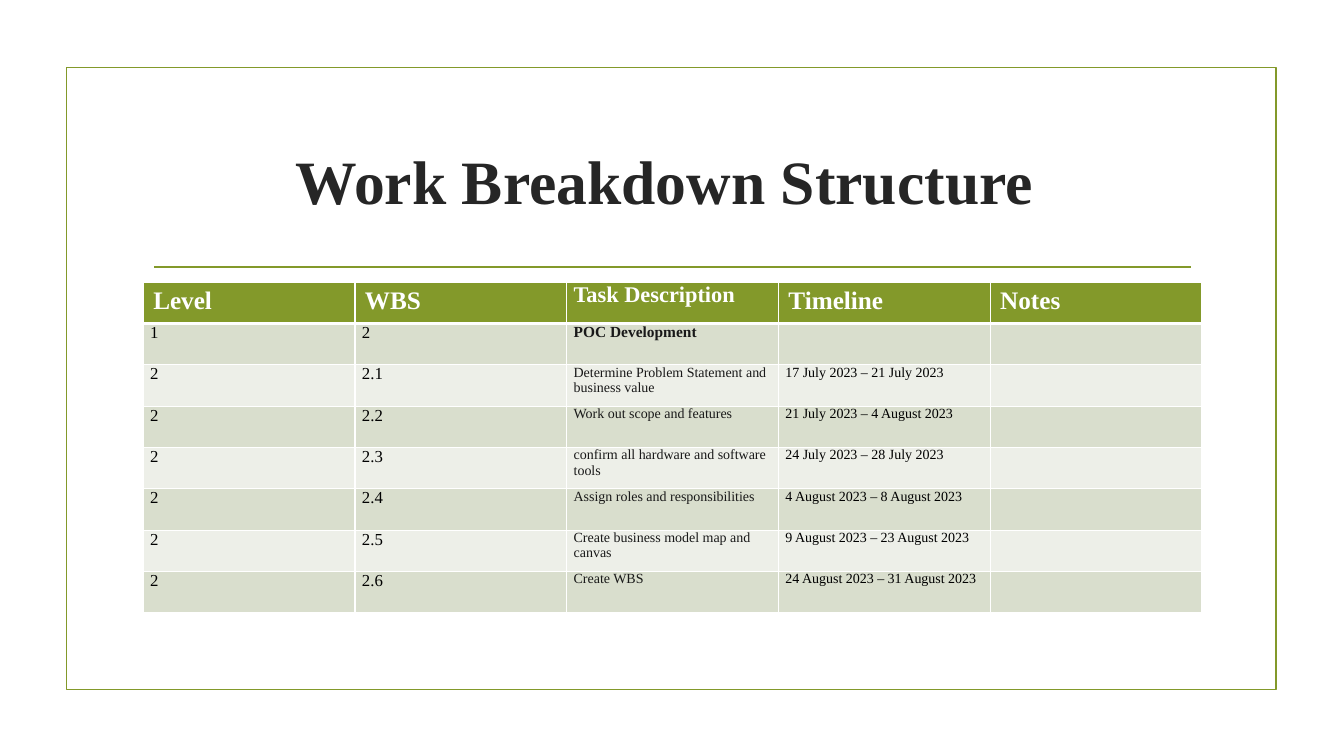
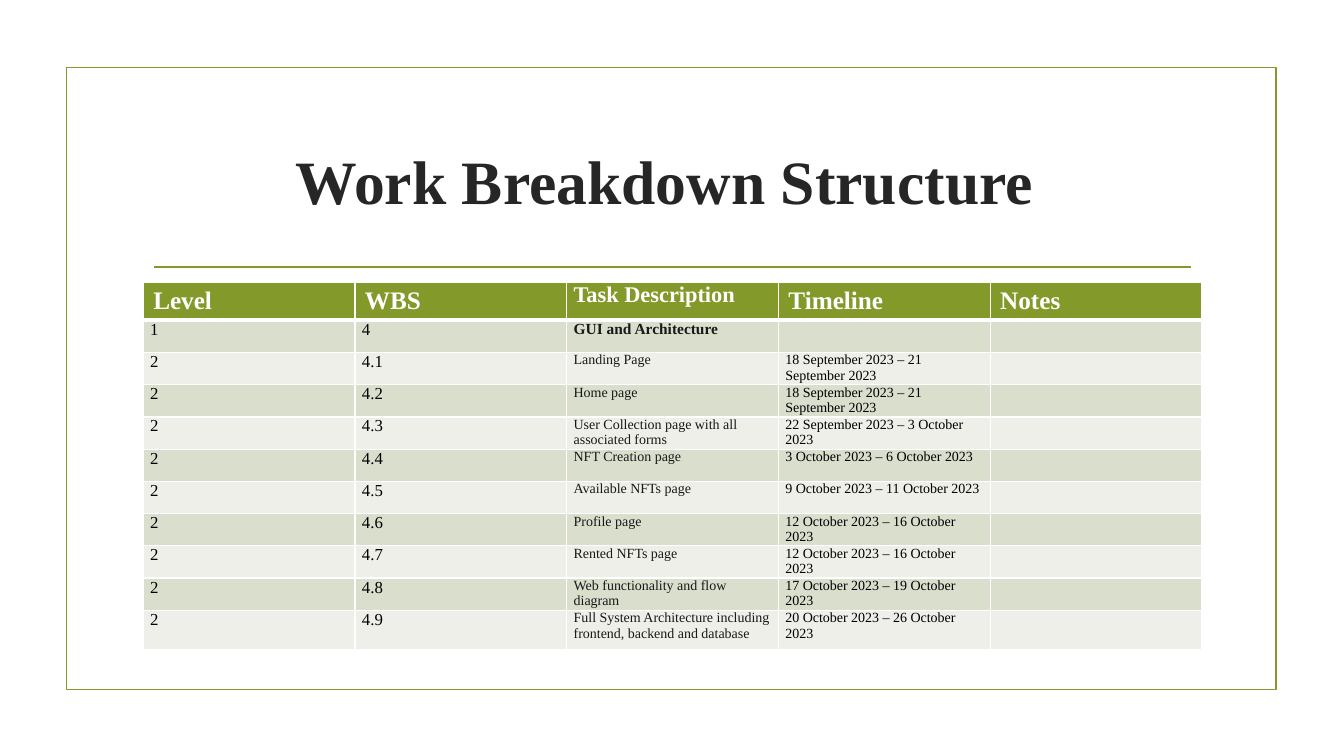
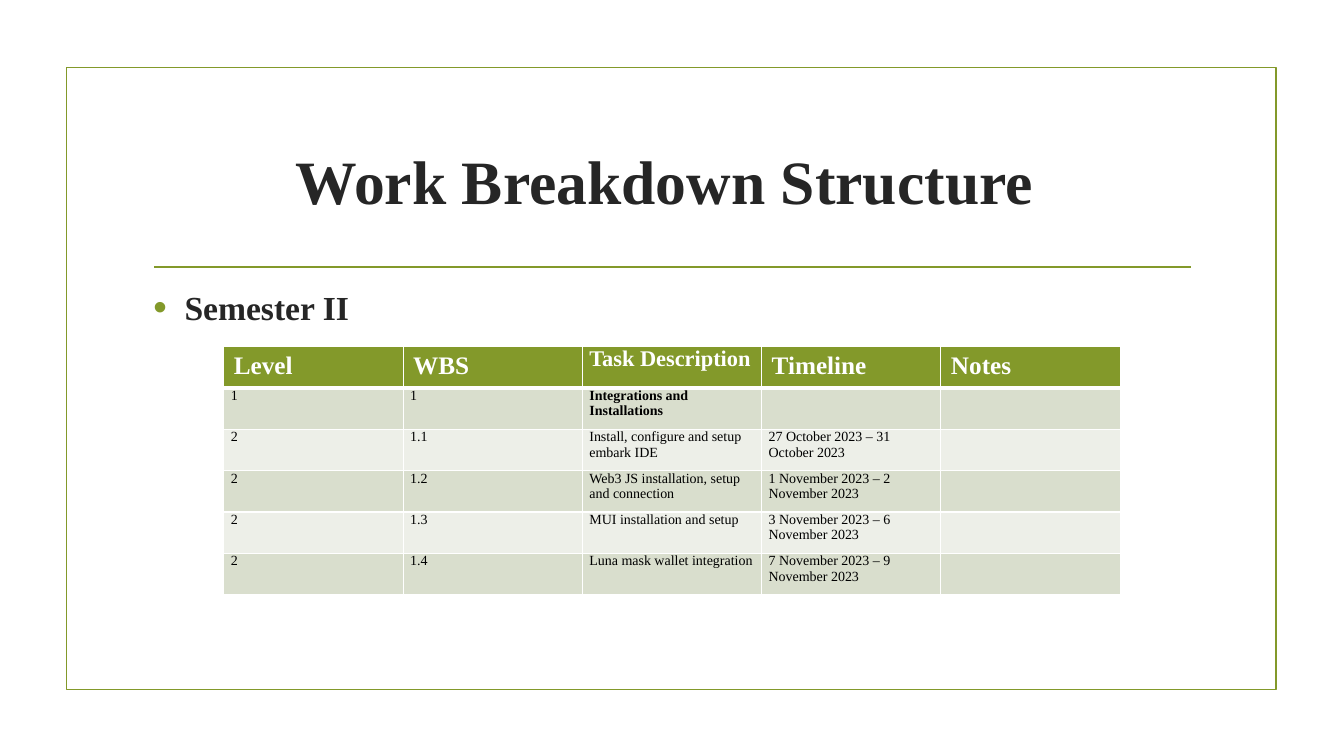
from lxml import etree
from pptx import Presentation
from pptx.dml.color import RGBColor
from pptx.enum.shapes import MSO_CONNECTOR, MSO_SHAPE
from pptx.enum.text import MSO_ANCHOR, PP_ALIGN
from pptx.oxml.ns import qn
from pptx.util import Inches, Pt

RECTANGLE = MSO_SHAPE.RECTANGLE
STRAIGHT = MSO_CONNECTOR.STRAIGHT
MIDDLE = MSO_ANCHOR.MIDDLE
TOP = MSO_ANCHOR.TOP
CENTER = PP_ALIGN.CENTER

FONT = "Times New Roman"
COLORS = {
    "accent": "83992A",
    "heading": "262626",
    "task": "191919",
    "black": "000000",
    "white": "FFFFFF",
    "band_dark": "D9DECD",
    "band_light": "EDEFE8",
}
TITLE = "Work Breakdown Structure "
TITLE_ONLY, TITLE_AND_CONTENT = 5, 1
CONTENT_LEFT, CONTENT_TOP, CONTENT_WIDTH = 1.42, 2.8, 10.5
HEADERS = ["Level", "WBS", "Task Description", "Timeline", "Notes"]
TASK_COLUMN = HEADERS.index("Task Description")

# Each task is (WBS number, description, timeline).
POC_TASKS = [
    ("2", "POC Development", ""),
    ("2.1", "Determine Problem Statement and business value", "17 July 2023 – 21 July 2023"),
    ("2.2", "Work out scope and features", "21 July 2023 – 4 August 2023"),
    ("2.3", "confirm all hardware and software tools", "24 July 2023 – 28 July 2023"),
    ("2.4", "Assign roles and responsibilities", "4 August 2023 – 8 August 2023"),
    ("2.5", "Create business model map and canvas", "9 August 2023 – 23 August 2023"),
    ("2.6", "Create WBS", "24 August 2023 – 31 August 2023"),
]
GUI_TASKS = [
    ("4", "GUI and Architecture", ""),
    ("4.1", "Landing Page", "18 September 2023 – 21 September 2023"),
    ("4.2", "Home page", "18 September 2023 – 21 September 2023"),
    ("4.3", "User Collection page with all associated forms", "22 September 2023 – 3 October 2023"),
    ("4.4", "NFT Creation page", "3 October 2023 – 6 October 2023"),
    ("4.5", "Available NFTs page", "9 October 2023 – 11 October 2023"),
    ("4.6", "Profile page", "12 October 2023 – 16 October 2023"),
    ("4.7", "Rented NFTs page", "12 October 2023 – 16 October 2023"),
    ("4.8", "Web functionality and flow diagram", "17 October 2023 – 19 October 2023"),
    ("4.9", "Full System Architecture including frontend, backend and database",
     "20 October 2023 – 26 October 2023"),
]
INTEGRATION_TASKS = [
    ("1", "Integrations and Installations", ""),
    ("1.1", "Install, configure and setup embark IDE", "27 October 2023 – 31 October 2023"),
    ("1.2", "Web3 JS installation, setup and connection", "1 November 2023 – 2 November 2023"),
    ("1.3", "MUI installation and setup", "3 November 2023 – 6 November 2023"),
    ("1.4", "Luna mask wallet integration", "7 November 2023 – 9 November 2023"),
]


def color(name):
    return RGBColor.from_string(COLORS[name])


def format_runs(paragraph, size, color_name, bold):
    for run in paragraph.runs:
        run.font.name = FONT
        run.font.size = Pt(size)
        run.font.bold = bold
        run.font.color.rgb = color(color_name)


def place(shape, left, top, width, height):
    shape.left, shape.top = Inches(left), Inches(top)
    shape.width, shape.height = Inches(width), Inches(height)


def add_frame(slide):
    frame = slide.shapes.add_shape(
        RECTANGLE, Inches(0.66), Inches(0.67), Inches(12), Inches(6.17))
    frame.shadow.inherit = False
    frame.fill.background()
    rule = slide.shapes.add_connector(
        STRAIGHT, Inches(1.53), Inches(2.65), Inches(11.81), Inches(2.65))
    etree.SubElement(rule._element.spPr, qn("a:effectLst"))
    for shape in (frame, rule):
        shape.line.color.rgb = color("accent")
        shape.line.width = Pt(1.25)


def add_titled_slide(presentation, layout_index):
    slide = presentation.slides.add_slide(presentation.slide_layouts[layout_index])
    add_frame(slide)
    title = slide.shapes.title
    place(title, CONTENT_LEFT, 1.07, CONTENT_WIDTH, 1.43)
    title.text_frame.text = TITLE
    title.text_frame.vertical_anchor = MIDDLE
    paragraph = title.text_frame.paragraphs[0]
    paragraph.alignment = CENTER
    format_runs(paragraph, 44, "heading", True)
    return slide


def add_bullet(paragraph, indent):
    properties = paragraph._p.get_or_add_pPr()
    properties.set("marL", str(Inches(indent)))
    properties.set("indent", str(-Inches(indent)))
    bullet_color = etree.SubElement(properties, qn("a:buClr"))
    etree.SubElement(bullet_color, qn("a:srgbClr"), val=COLORS["accent"])
    etree.SubElement(properties, qn("a:buSzPct"), val="115000")
    etree.SubElement(properties, qn("a:buFont"), typeface="Arial")
    etree.SubElement(properties, qn("a:buChar"), char="•")


def fill_body(slide, text):
    body = slide.placeholders[1]
    place(body, CONTENT_LEFT, CONTENT_TOP, CONTENT_WIDTH, 3.63)
    body.text_frame.text = text
    body.text_frame.vertical_anchor = TOP
    paragraph = body.text_frame.paragraphs[0]
    add_bullet(paragraph, 0.31)
    paragraph.space_before = Pt(0)
    paragraph.space_after = Pt(6)
    format_runs(paragraph, 24, "heading", True)


def set_borders(cell, top, bottom):
    """Draw white borders; call before filling, as the fill must follow them."""
    properties = cell._tc.get_or_add_tcPr()
    for side, width in (("L", 1), ("R", 1), ("T", top), ("B", bottom)):
        border = etree.SubElement(properties, qn(f"a:ln{side}"), w=str(Pt(width)))
        fill = etree.SubElement(border, qn("a:solidFill"))
        etree.SubElement(fill, qn("a:srgbClr"), val=COLORS["white"])


def use_tight_margins(cell):
    cell.margin_left = cell.margin_right = Inches(0.07)
    cell.margin_top = cell.margin_bottom = 0


def write_cell(cell, text, size, color_name, bold, fill_name):
    cell.fill.solid()
    cell.fill.fore_color.rgb = color(fill_name)
    cell.text_frame.text = text
    paragraph = cell.text_frame.paragraphs[0]
    format_runs(paragraph, size, color_name, bold)
    if not text:  # keeps an empty cell from stretching its row
        etree.SubElement(paragraph._p, qn("a:endParaRPr"), sz=str(size * 100))


def write_header(table):
    for column, header in enumerate(HEADERS):
        cell = table.cell(0, column)
        set_borders(cell, 1, 3)
        is_task = column == TASK_COLUMN
        if is_task:
            use_tight_margins(cell)
        write_cell(cell, header, 16 if is_task else 18, "white", True, "accent")


def write_task(table, row, task, number_size, phase_size, task_color):
    number, description, timeline = task
    is_phase = "." not in number
    level = "1" if is_phase else "2"
    fill_name = "band_dark" if row % 2 else "band_light"
    task_size = phase_size if is_phase else 10
    sizes = [number_size, number_size, task_size, 10, 10]
    for column, text in enumerate([level, number, description, timeline, ""]):
        cell = table.cell(row, column)
        set_borders(cell, 3 if row == 1 else 1, 1)
        use_tight_margins(cell)
        is_task = column == TASK_COLUMN
        write_cell(cell, text, sizes[column], task_color if is_task else "black",
                   is_phase and is_task, fill_name)


def add_task_table(slide, tasks, left, top, width, row_heights,
                   number_size=12, phase_size=11, task_color="task"):
    table = slide.shapes.add_table(
        len(row_heights), len(HEADERS), Inches(left), Inches(top),
        Inches(width), Inches(sum(row_heights))).table
    for row, height in zip(table.rows, row_heights):
        row.height = Inches(height)
    write_header(table)
    for row, task in enumerate(tasks, start=1):
        write_task(table, row, task, number_size, phase_size, task_color)


def main():
    presentation = Presentation()
    presentation.slide_width = Inches(13.33)
    presentation.slide_height = Inches(7.5)

    poc_slide = add_titled_slide(presentation, TITLE_ONLY)
    add_task_table(poc_slide, POC_TASKS, CONTENT_LEFT, CONTENT_TOP, CONTENT_WIDTH,
                   [0.41] * 8)

    gui_slide = add_titled_slide(presentation, TITLE_ONLY)
    add_task_table(gui_slide, GUI_TASKS, CONTENT_LEFT, CONTENT_TOP, CONTENT_WIDTH,
                   [0.32] * 10 + [0.39])

    integration_slide = add_titled_slide(presentation, TITLE_AND_CONTENT)
    fill_body(integration_slide, "Semester II")
    add_task_table(integration_slide, INTEGRATION_TASKS, 2.22, 3.44, 8.89, [0.41] * 6,
                   number_size=10, phase_size=10, task_color="black")

    presentation.save("out.pptx")


if __name__ == "__main__":
    main()
